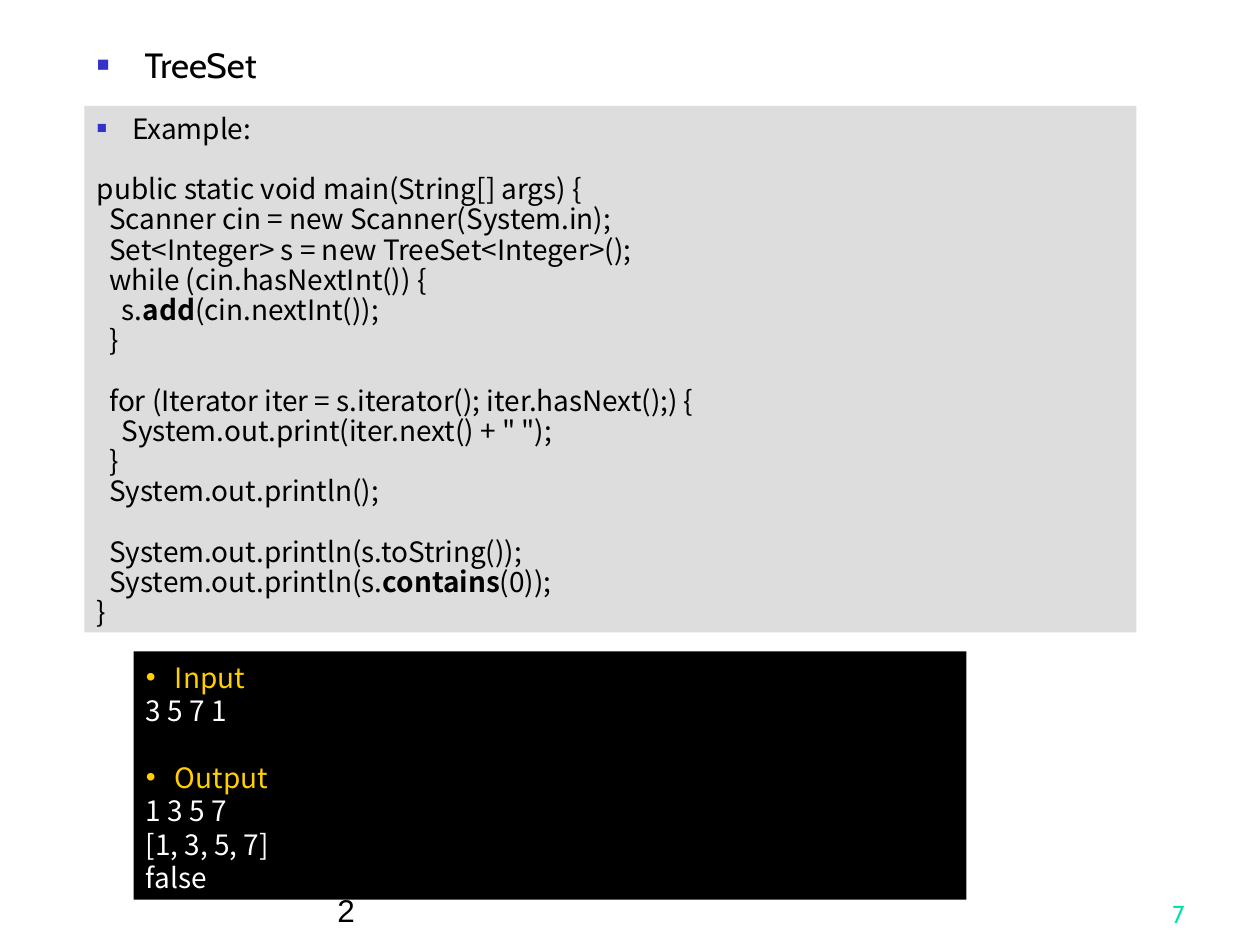
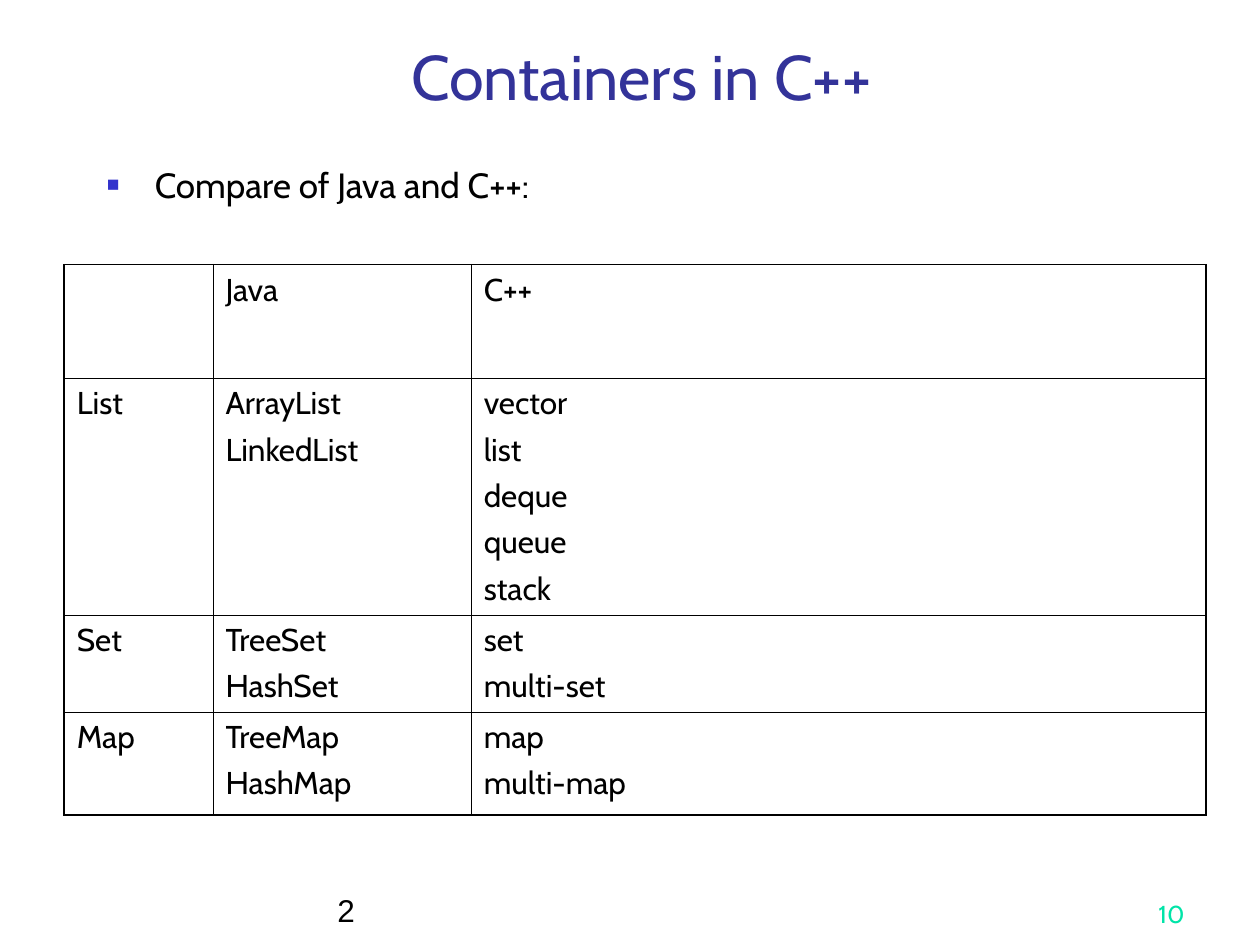
"""Build two slides on Java and C++ containers."""
from lxml.etree import SubElement
from pptx import Presentation
from pptx.dml.color import RGBColor
from pptx.enum.shapes import MSO_SHAPE as Shape
from pptx.enum.text import MSO_ANCHOR as Anchor, MSO_AUTO_SIZE as AutoSize, PP_ALIGN as Align
from pptx.oxml.ns import qn
from pptx.util import Inches, Pt

COLORS = {
    "title": "333399",
    "bullet": "3333CC",
    "text": "000000",
    "code_panel": "DDDDDD",
    "console": "000000",
    "console_text": "FFFFFF",
    "console_label": "FFCF01",
    "page_number": "00E4A8",
}
HEADING_FONT, CODE_FONT, FOOTER_FONT = "Cabin", "Noto Sans CJK SC", "Arial"

CODE = """public static void main(String[] args) {
  Scanner cin = new Scanner(System.in);
  Set<Integer> s = new TreeSet<Integer>();
  while (cin.hasNextInt()) {
    s.**add**(cin.nextInt());
  }

  for (Iterator iter = s.iterator(); iter.hasNext();) {
    System.out.print(iter.next() + " ");
  }
  System.out.println();

  System.out.println(s.toString());
  System.out.println(s.**contains**(0));
}"""

CONTAINERS = [
    ([], ["Java"], ["C++"]),
    (["List"], ["ArrayList", "LinkedList"], ["vector", "list", "deque", "queue", "stack"]),
    (["Set"], ["TreeSet", "HashSet"], ["set", "multi-set"]),
    (["Map"], ["TreeMap", "HashMap"], ["map", "multi-map"]),
]
COLUMN_WIDTHS = [1.18, 2.05, 5.83]
ROW_HEIGHTS = [0.9, 1.88, 0.77, 0.82]


def rgb(name):
    """Return the named colour."""
    return RGBColor.from_string(COLORS[name])


def add_run(paragraph, text, font, size, color, bold=False):
    """Append one formatted run."""
    run = paragraph.add_run()
    run.text = text
    run.font.name, run.font.size, run.font.bold = font, Pt(size), bold
    run.font.color.rgb = rgb(color)


def next_paragraph(frame):
    """Return the unused first paragraph, or a new one."""
    first = frame.paragraphs[0]
    return frame.add_paragraph() if first.runs else first


def add_bullet(paragraph, symbol, color, indent, percent=100):
    """Give a paragraph a hanging coloured bullet."""
    props = paragraph._p.get_or_add_pPr()
    props.set("marL", str(Inches(indent)))
    props.set("indent", str(-Inches(indent)))
    tint = SubElement(props, qn("a:buClr"))
    SubElement(tint, qn("a:srgbClr"), val=COLORS[color])
    SubElement(props, qn("a:buSzPct"), val=str(percent * 1000))
    SubElement(props, qn("a:buFont"), typeface=FOOTER_FONT)
    SubElement(props, qn("a:buChar"), char=symbol)


def add_text_box(slide, left, top, width, height, anchor=Anchor.TOP):
    """Add a wrapping text box and return its frame."""
    frame = slide.shapes.add_textbox(*map(Inches, (left, top, width, height))).text_frame
    frame.word_wrap = True
    frame.vertical_anchor = anchor
    return frame


def add_topic(slide, text, left, top):
    """Add the bulleted topic line of a slide."""
    topic = add_text_box(slide, left, top, 8.35, 0.63).paragraphs[0]
    add_bullet(topic, "■", "bullet", 0.38, 60)
    topic.line_spacing = 0.8
    add_run(topic, text, HEADING_FONT, 20, "text")


def add_panel(slide, left, top, width, height, fill):
    """Add a filled panel for code and return its frame."""
    panel = slide.shapes.add_shape(Shape.RECTANGLE, *map(Inches, (left, top, width, height)))
    panel.shadow.inherit = False
    panel.fill.solid()
    panel.fill.fore_color.rgb = rgb(fill)
    panel.line.fill.background()
    frame = panel.text_frame
    frame.word_wrap = True
    frame.vertical_anchor = Anchor.TOP
    frame.margin_top = Inches(0.07)
    return frame


def add_panel_label(frame, text, pitch, symbol, bullet_color, color, indent, percent=100):
    """Add a bulleted label, set apart from any lines above it."""
    label = next_paragraph(frame)
    add_bullet(label, symbol, bullet_color, indent, percent)
    label.alignment = Align.LEFT
    label.line_spacing = Pt(pitch)
    if len(frame.paragraphs) > 1:
        label.space_before = Pt(pitch)
    add_run(label, text, CODE_FONT, 16, color)


def add_panel_lines(frame, text, pitch, color, gap_first=False):
    """Add lines, with bold between double stars and gaps for empty lines."""
    gap = gap_first
    for line in text.split("\n"):
        if not line:
            gap = True
            continue
        paragraph = next_paragraph(frame)
        paragraph.alignment = Align.LEFT
        paragraph.line_spacing = Pt(pitch)
        if gap:
            paragraph.space_before = Pt(pitch)
        gap = False
        for index, part in enumerate(line.split("**")):
            add_run(paragraph, part, CODE_FONT, 16, color, bold=index % 2 == 1)


def add_footer(slide, page):
    """Add the footer text and the page number."""
    footer = add_text_box(slide, 2.58, 6.92, 5.42, 0.5, Anchor.BOTTOM).paragraphs[0]
    add_run(footer, "2", FOOTER_FONT, 18, "text")
    number = add_text_box(slide, 7.42, 6.92, 2.08, 0.5, Anchor.BOTTOM).paragraphs[0]
    number.alignment = Align.RIGHT
    add_run(number, page, HEADING_FONT, 14, "page_number")


def set_borders(cell, outer_sides):
    """Draw the cell's borders, heavier on the outer sides of the table."""
    props = cell._tc.get_or_add_tcPr()
    for side in "LRTB":
        width = Pt(1.08 if side in outer_sides else 0.45)
        border = SubElement(props, qn(f"a:ln{side}"), w=str(width))
        paint = SubElement(border, qn("a:solidFill"))
        SubElement(paint, qn("a:srgbClr"), val=COLORS["text"])


def add_container_table(slide):
    """Add the table that compares the containers."""
    rows, columns = len(CONTAINERS), len(COLUMN_WIDTHS)
    table = slide.shapes.add_table(
        rows, columns, Inches(0.51), Inches(2.1),
        Inches(sum(COLUMN_WIDTHS)), Inches(sum(ROW_HEIGHTS))).table
    table.first_row = table.horz_banding = False
    for column, width in zip(table.columns, COLUMN_WIDTHS):
        column.width = Inches(width)
    for row, height in zip(table.rows, ROW_HEIGHTS):
        row.height = Inches(height)
    for r, entries in enumerate(CONTAINERS):
        for c, names in enumerate(entries):
            cell = table.cell(r, c)
            edges = {"L": c == 0, "R": c == columns - 1, "T": r == 0, "B": r == rows - 1}
            set_borders(cell, [side for side, outer in edges.items() if outer])
            cell.fill.background()
            for index, name in enumerate(names):
                paragraph = next_paragraph(cell.text_frame)
                if index:
                    paragraph.space_before = Pt(4.5)
                add_run(paragraph, name, HEADING_FONT, 18, "text")


def set_title(slide, text):
    """Place and format the slide title."""
    title = slide.shapes.title
    title.left, title.top, title.width, title.height = map(Inches, (0.83, 0.21, 8.52, 0.74))
    frame = title.text_frame
    frame.auto_size = AutoSize.NONE
    frame.vertical_anchor = Anchor.BOTTOM
    heading = frame.paragraphs[0]
    heading.alignment = Align.CENTER
    add_run(heading, text, HEADING_FONT, 36, "title")


def build_tree_set(deck):
    """Build the slide with the TreeSet example."""
    slide = deck.slides.add_slide(deck.slide_layouts[6])
    example = add_panel(slide, 0.67, 0.84, 8.35, 4.18, "code_panel")
    add_panel_label(example, "Example:", 17.25, "■", "bullet", "text", 0.28, 60)
    add_panel_lines(example, CODE, 17.25, "text", gap_first=True)
    add_topic(slide, "TreeSet", 0.67, 0.36)
    console = add_panel(slide, 1.06, 5.17, 6.61, 1.97, "console")
    for label, lines in (("Input", "3 5 7 1"), ("Output", "1 3 5 7\n[1, 3, 5, 7]\nfalse")):
        add_panel_label(console, label, 19.1, "•", "console_label", "console_label", 0.23)
        add_panel_lines(console, lines, 19.1, "console_text")
    add_footer(slide, "7")


def build_comparison(deck):
    """Build the slide that compares Java and C++."""
    slide = deck.slides.add_slide(deck.slide_layouts[5])
    set_title(slide, "Containers in C++")
    add_topic(slide, "Compare of Java and C++:", 0.75, 1.31)
    add_container_table(slide)
    add_footer(slide, "10")


def main():
    """Build and save the deck."""
    deck = Presentation()
    deck.slide_width, deck.slide_height = Inches(10), Inches(7.5)
    build_tree_set(deck)
    build_comparison(deck)
    deck.save("out.pptx")


if __name__ == "__main__":
    main()
